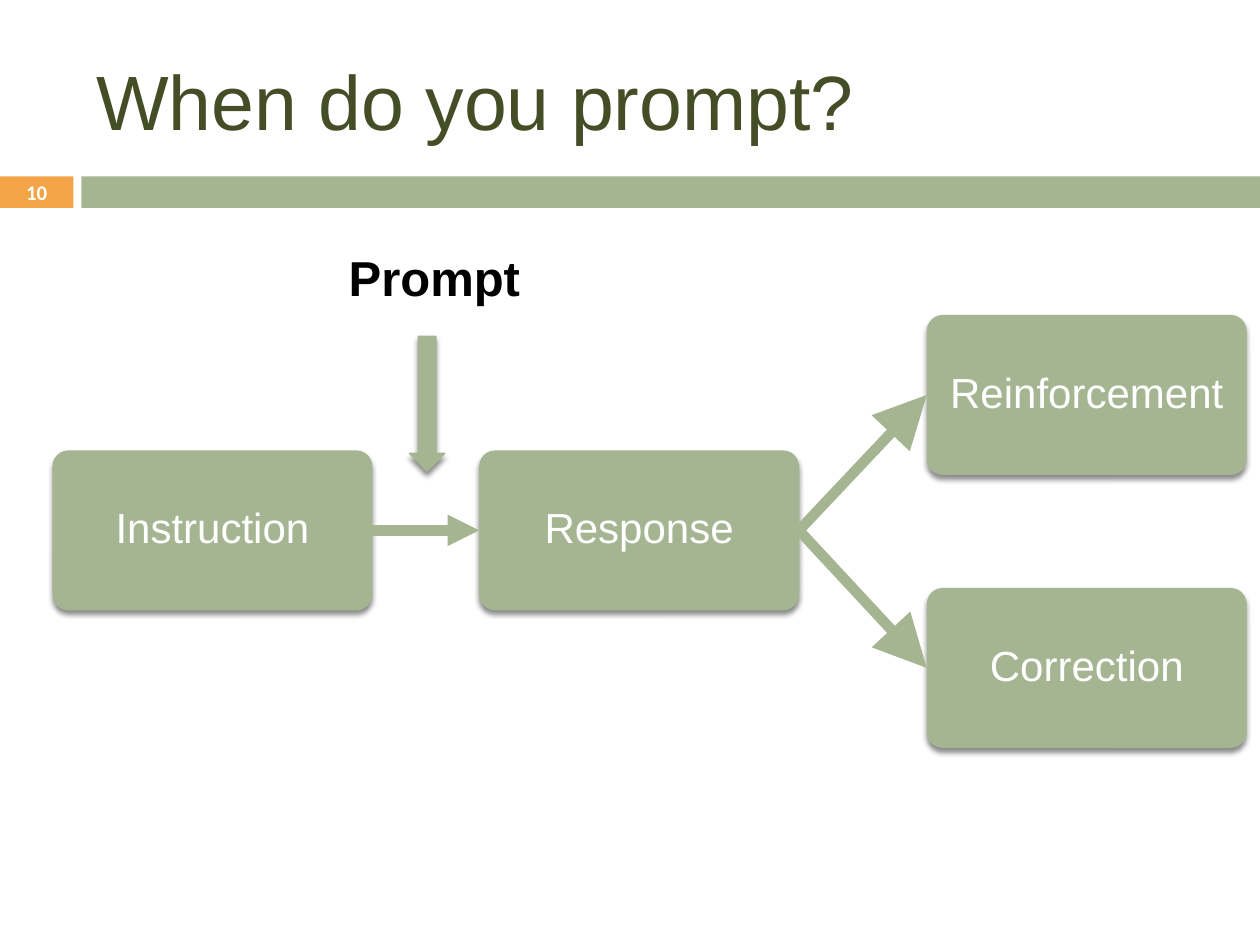
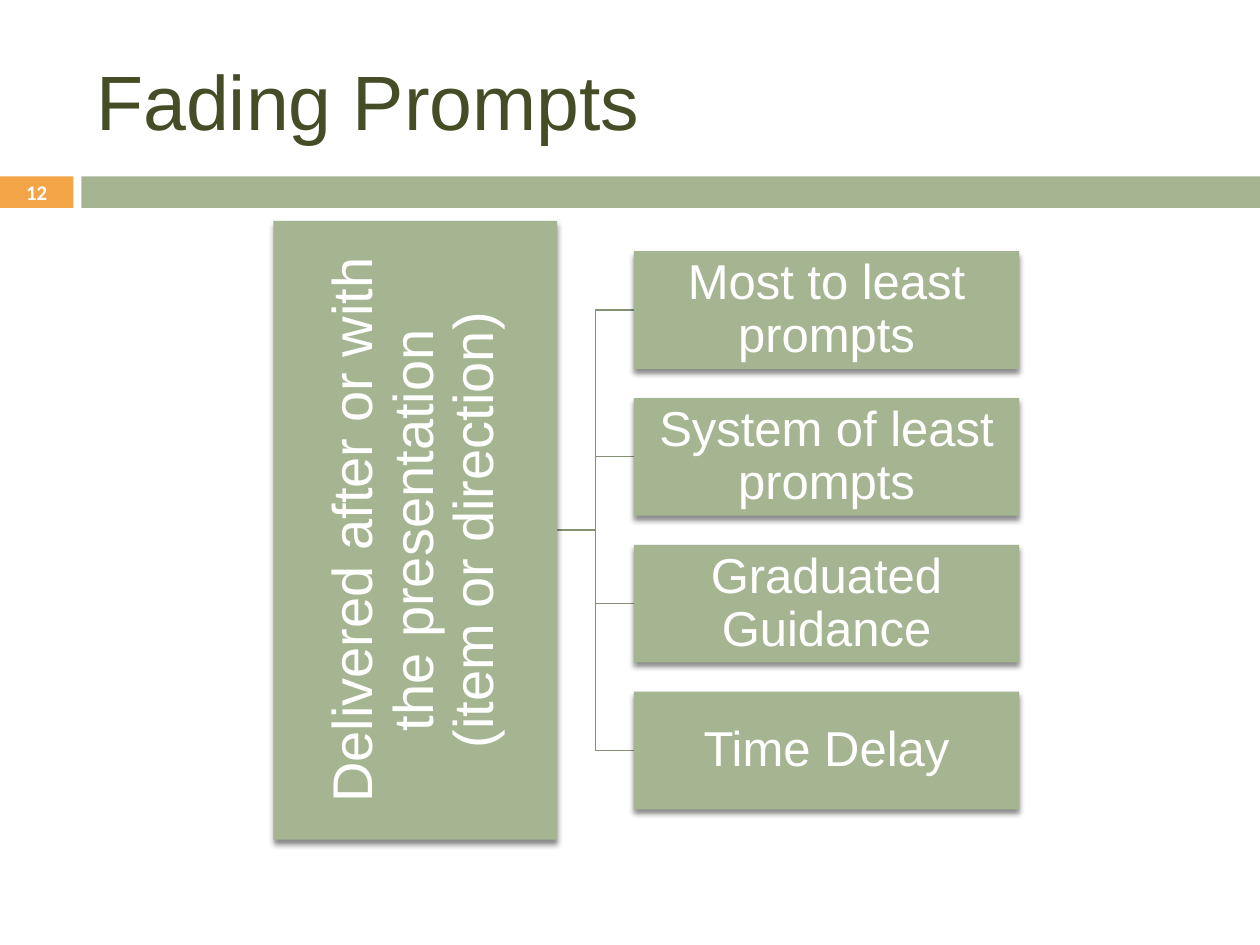
from lxml import etree
from pptx import Presentation
from pptx import util as u
from pptx.dml import color
from pptx.enum import shapes, text
from pptx.oxml import ns

GREEN, ORANGE, OLIVE, BRANCH = "A5B592", "F3A447", "444D26", "849175"
WHITE, BLACK = "FFFFFF", "000000"
PAGE_WIDTH, PAGE_HEIGHT = 720, 540
BAND_TOP, BAND_HEIGHT = 100.8, 18
FLOW_BOX = (30, 180, 682.4, 247.4)
TREE_BOX = (156.2, 126.2, 426.2, 353.6)


def rgb(value):
    """Turn a hex string into a colour."""
    return color.RGBColor.from_string(value)


def points(values):
    """Turn numbers into lengths in points."""
    return [u.Pt(value) for value in values]


def set_line(shape, hex_color, width):
    """Give a shape or connector a solid line."""
    shape.line.color.rgb = rgb(hex_color)
    shape.line.width = u.Pt(width)


def add_shadow(shape):
    """Put a soft shadow below a shape."""
    effects = shape._element.spPr.find(ns.qn("a:effectLst"))
    shadow = etree.SubElement(effects, ns.qn("a:outerShdw"), blurRad=str(u.Pt(3)),
                              dist=str(u.Pt(2.4)), dir="5400000", rotWithShape="0")
    black = etree.SubElement(shadow, ns.qn("a:srgbClr"), val=BLACK)
    etree.SubElement(black, ns.qn("a:alpha"), val="45000")


def add_block(slide, kind, box, fill=GREEN, shadow=False):
    """Add a filled preset shape without a line."""
    shape = slide.shapes.add_shape(kind, *points(box))
    shape.shadow.inherit = False
    shape.fill.solid()
    shape.fill.fore_color.rgb = rgb(fill)
    shape.line.fill.background()
    if shadow:
        add_shadow(shape)
    return shape


def write(shape, lines, size, hex_color=WHITE, font="Arial", bold=False,
          align=text.PP_ALIGN.CENTER, anchor=text.MSO_ANCHOR.MIDDLE,
          margin=None, spacing=None):
    """Write one paragraph, broken into the given lines."""
    frame = shape.text_frame
    frame.word_wrap = True
    frame.vertical_anchor = anchor
    if margin is not None:
        frame.margin_left = frame.margin_right = u.Pt(margin)
        frame.margin_top = frame.margin_bottom = u.Pt(margin)
    paragraph = frame.paragraphs[0]
    paragraph.alignment = align
    paragraph.line_spacing = spacing
    for index, line in enumerate(lines):
        if index:
            paragraph.add_line_break()
        run = paragraph.add_run()
        run.text = line
        run.font.name, run.font.size, run.font.bold = font, u.Pt(size), bold
        run.font.color.rgb = rgb(hex_color)


def add_label(slide, box, label, size, **style):
    """Add a text box with a single label."""
    write(slide.shapes.add_textbox(*points(box)), [label], size, **style)


def add_node(slide, kind, box, lines, size):
    """Add a shadowed diagram node with its text."""
    node = add_block(slide, kind, box, shadow=True)
    write(node, lines, size, margin=1.5, spacing=0.9)
    return node


def add_page(presentation, title, number):
    """Add a slide with its title, band and page number."""
    slide = presentation.slides.add_slide(presentation.slide_layouts[6])
    rectangle = shapes.MSO_SHAPE.RECTANGLE
    badge = add_block(slide, rectangle, (0, BAND_TOP, 42, BAND_HEIGHT), ORANGE)
    write(badge, [str(number)], 11.9, font="Calibri", bold=True, margin=0)
    add_block(slide, rectangle, (46.5, BAND_TOP, PAGE_WIDTH - 46.5, BAND_HEIGHT))
    add_label(slide, (48, 18, 642, 78), title, 44, hex_color=OLIVE,
              align=text.PP_ALIGN.LEFT)
    return slide


def add_arrow(slide, source, target, head):
    """Join the right side of one node to the left side of another."""
    arrow = slide.shapes.add_connector(shapes.MSO_CONNECTOR.STRAIGHT, 0, 0, 0, 0)
    arrow.begin_connect(source, 3)
    arrow.end_connect(target, 1)
    set_line(arrow, GREEN, 6)
    etree.SubElement(arrow.line._get_or_add_ln(), ns.qn("a:tailEnd"),
                     type="triangle", w=head, len=head)
    etree.SubElement(arrow._element.spPr, ns.qn("a:effectLst"))


def add_flow(slide, box):
    """Draw the path from instruction through response to its outcomes."""
    left, top, width, height = box
    node_width, node_height, gap = 182.8, 91.4, 61
    node_top = top + (height - node_height) / 2 - 0.6
    outcome_left = left + width - node_width

    def node(x, y, label):
        shape = add_node(slide, shapes.MSO_SHAPE.ROUNDED_RECTANGLE,
                         (x, y, node_width, node_height), [label], 24)
        shape.adjustments[0] = 0.1
        return shape

    instruction = node(left, node_top, "Instruction")
    response = node(left + node_width + gap, node_top, "Response")
    reinforcement = node(outcome_left, top, "Reinforcement")
    correction = node(outcome_left, top + height - node_height, "Correction")
    add_arrow(slide, instruction, response, "med")
    for outcome in (reinforcement, correction):
        add_arrow(slide, response, outcome, "lg")

    prompt_arrow = add_block(slide, shapes.MSO_SHAPE.DOWN_ARROW,
                             (left + 204, top + 12.2, 20.2, 77), shadow=True)
    set_line(prompt_arrow, GREEN, 0.79)
    add_label(slide, (left + 162.2, top - 41.8, 126, 41), "Prompt", 28,
              hex_color=BLACK, bold=True, align=text.PP_ALIGN.LEFT,
              anchor=text.MSO_ANCHOR.TOP)


def add_elbow(slide, start, end):
    """Draw a stepped line that turns halfway between two points."""
    (x1, y1), (x2, y2) = start, end
    turn = (x1 + x2) / 2
    builder = slide.shapes.build_freeform(*points(start))
    builder.add_line_segments([points(corner) for corner in
                               ((turn, y1), (turn, y2), end)], close=False)
    elbow = builder.convert_to_shape()
    elbow.shadow.inherit = False
    elbow.fill.background()
    set_line(elbow, BRANCH, 0.79)


def add_tree(slide, box, root_lines, branches):
    """Draw an upright root with evenly spaced branches on its right."""
    left, top, width, height = box
    root_width, branch_width, branch_height, step = 162.2, 220.2, 67.2, 83.9
    middle = top + height / 2
    branch_left = left + width - branch_width
    centers = [middle + (index - (len(branches) - 1) / 2) * step
               for index in range(len(branches))]
    for center in centers:
        add_elbow(slide, (left + root_width, middle), (branch_left, center))
    rectangle = shapes.MSO_SHAPE.RECTANGLE
    root = add_node(slide, rectangle,
                    (left + (root_width - height) / 2, middle - root_width / 2,
                     height, root_width), root_lines, 32)
    root.rotation = 270
    for center, label in zip(centers, branches):
        add_node(slide, rectangle, (branch_left, center - branch_height / 2,
                                    branch_width, branch_height), [label], 28)


def main():
    """Build and save the presentation."""
    presentation = Presentation()
    presentation.slide_width = u.Pt(PAGE_WIDTH)
    presentation.slide_height = u.Pt(PAGE_HEIGHT)
    add_flow(add_page(presentation, "When do you prompt?", 10), FLOW_BOX)
    add_tree(add_page(presentation, "Fading Prompts", 12), TREE_BOX,
             ["Delivered after or with the presentation", "(item or direction)"],
             ["Most to least prompts", "System of least prompts",
              "Graduated Guidance", "Time Delay"])
    presentation.save("out.pptx")


if __name__ == "__main__":
    main()
